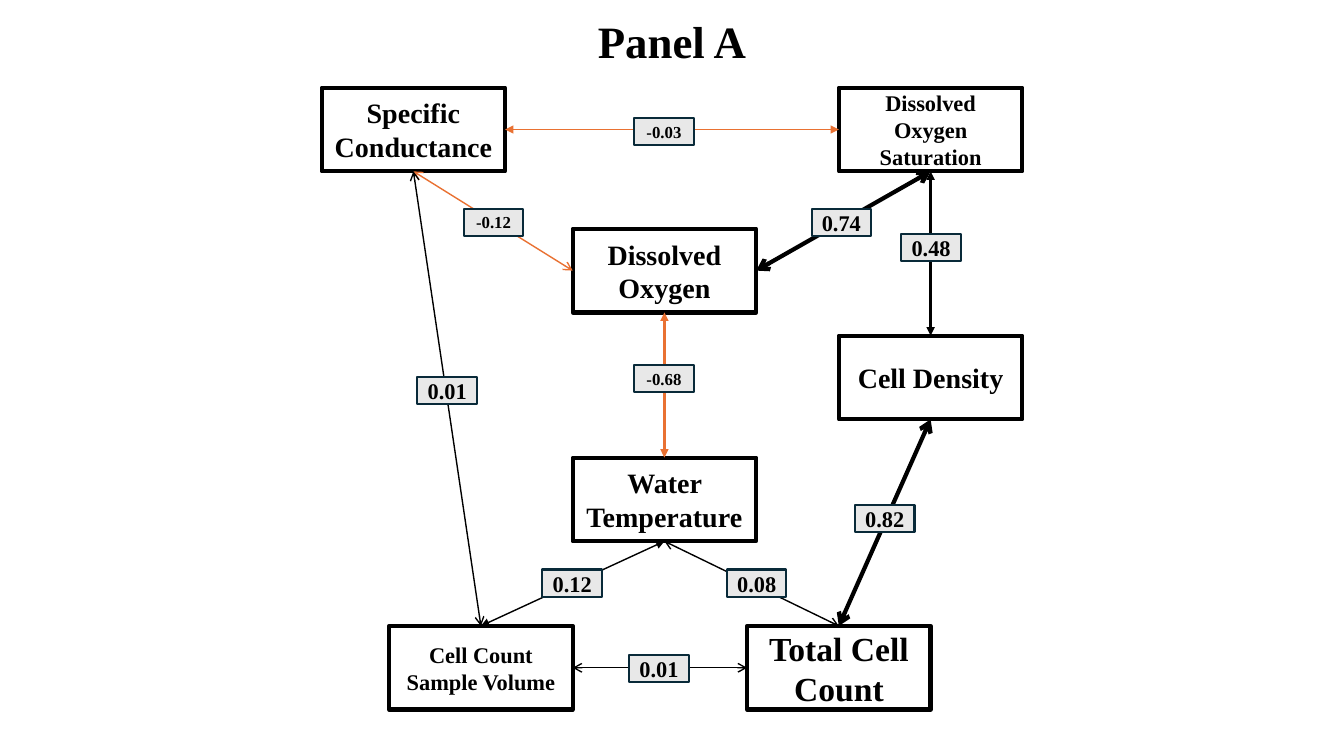
"""Build the Panel A correlation path diagram."""
from lxml import etree
from pptx import Presentation
from pptx import util as u
from pptx.dml.color import RGBColor
from pptx.enum import shapes, text
from pptx.oxml import ns

TITLE = "Panel A"
BOX_W, BOX_H = 1.82, 0.83
LABEL_W, LABEL_H = 0.59, 0.27
TOP, LEFT, BOTTOM, RIGHT = range(4)

THEME = {
    "font": "Times New Roman", "ink": "000000", "paper": "FFFFFF",
    "negative": "E97132", "label_fill": "E8E8E8", "label_line": "092A39",
    "title": 32, "positive_size": 16, "negative_size": 12,
    "box_line": 3, "label_border": 1.5,
}

# key: (text, left, top, size)
VARIABLES = {
    "conductance": ("Specific Conductance", 3.19, 0.87, 20),
    "saturation": ("Dissolved Oxygen Saturation", 8.32, 0.87, 16),
    "temperature": ("Water Temperature", 5.68, 4.54, 20),
    "oxygen": ("Dissolved Oxygen", 5.68, 2.27, 20),
    "density": ("Cell Density", 8.32, 3.33, 20),
    "volume": ("Cell Count Sample Volume", 3.86, 6.21, 16),
    "count": ("Total Cell Count", 7.41, 6.21, 24),
}

PATHS = [
    ("saturation", BOTTOM, "oxygen", RIGHT, "0.74", 3, "arrow", (8.05, 2.07)),
    ("conductance", BOTTOM, "oxygen", LEFT, "-0.12", 1, "arrow", (4.6, 2.07)),
    ("conductance", BOTTOM, "volume", TOP, "0.01", 1, "arrow", (4.14, 3.74)),
    ("volume", RIGHT, "count", LEFT, "0.01", 1, "arrow", (6.24, 6.5)),
    ("count", TOP, "temperature", BOTTOM, "0.08", 1, "arrow", (7.21, 5.65)),
    ("count", TOP, "density", BOTTOM, "0.82", 3, "arrow", (8.48, 5.01)),
    ("conductance", RIGHT, "saturation", LEFT, "-0.03", 1, "triangle", (6.29, 1.17)),
    ("oxygen", BOTTOM, "temperature", TOP, "-0.68", 2, "triangle", (6.29, 3.62)),
    ("volume", TOP, "temperature", BOTTOM, "0.12", 1, "triangle", (5.38, 5.65)),
    ("saturation", BOTTOM, "density", TOP, "0.48", 2, "triangle", (8.94, 2.32)),
]


def color(name):
    return RGBColor.from_string(THEME[name])


def write(sp, words, size):
    p = sp.text_frame.paragraphs[0]
    p.alignment = text.PP_ALIGN.CENTER
    r = p.add_run()
    r.text = words
    r.font.name = THEME["font"]
    r.font.size = u.Pt(size)
    r.font.bold = True
    r.font.color.rgb = color("ink")


def add_box(s, words, left, top, width, height, size, fill, line, weight):
    sp = s.shapes.add_shape(shapes.MSO_SHAPE.RECTANGLE,
                            *map(u.Inches, (left, top, width, height)))
    sp.shadow.inherit = False
    sp.fill.solid()
    sp.fill.fore_color.rgb = color(fill)
    sp.line.color.rgb = color(line)
    sp.line.width = u.Pt(weight)
    tf = sp.text_frame
    tf.word_wrap = True
    tf.vertical_anchor = text.MSO_ANCHOR.MIDDLE
    write(sp, words, size)
    return sp


def add_path(s, start, start_side, end, end_side, line, weight, tip):
    cx = s.shapes.add_connector(shapes.MSO_CONNECTOR.STRAIGHT, 0, 0, 0, 0)
    cx.begin_connect(start, start_side)
    cx.end_connect(end, end_side)
    cx.line.color.rgb = color(line)
    cx.line.width = u.Pt(weight)
    ln = cx.line._get_or_add_ln()
    for tag in ("a:headEnd", "a:tailEnd"):
        etree.SubElement(ln, ns.qn(tag), type=tip)
    etree.SubElement(cx._element.spPr, ns.qn("a:effectLst"))


def main():
    prs = Presentation()
    prs.slide_width, prs.slide_height = u.Inches(13.33), u.Inches(7.5)
    s = prs.slides.add_slide(prs.slide_layouts[6])

    boxes = {
        key: add_box(s, words, left, top, BOX_W, BOX_H, size,
                     "paper", "ink", THEME["box_line"])
        for key, (words, left, top, size) in VARIABLES.items()
    }
    for start, side, end, end_side, value, weight, tip, _ in PATHS:
        line = "negative" if value.startswith("-") else "ink"
        add_path(s, boxes[start], side, boxes[end], end_side, line, weight, tip)
    for *_, value, _, _, (left, top) in PATHS:
        size = THEME["negative_size" if value.startswith("-") else "positive_size"]
        sp = add_box(s, value, left, top, LABEL_W, LABEL_H, size,
                     "label_fill", "label_line", THEME["label_border"])
        sp.text_frame.margin_left = sp.text_frame.margin_right = 0

    title = s.shapes.add_textbox(*map(u.Inches, (3.91, 0.09, 5.51, 0.64)))
    title.text_frame.word_wrap = True
    write(title, TITLE, THEME["title"])
    prs.save("out.pptx")


if __name__ == "__main__":
    main()
